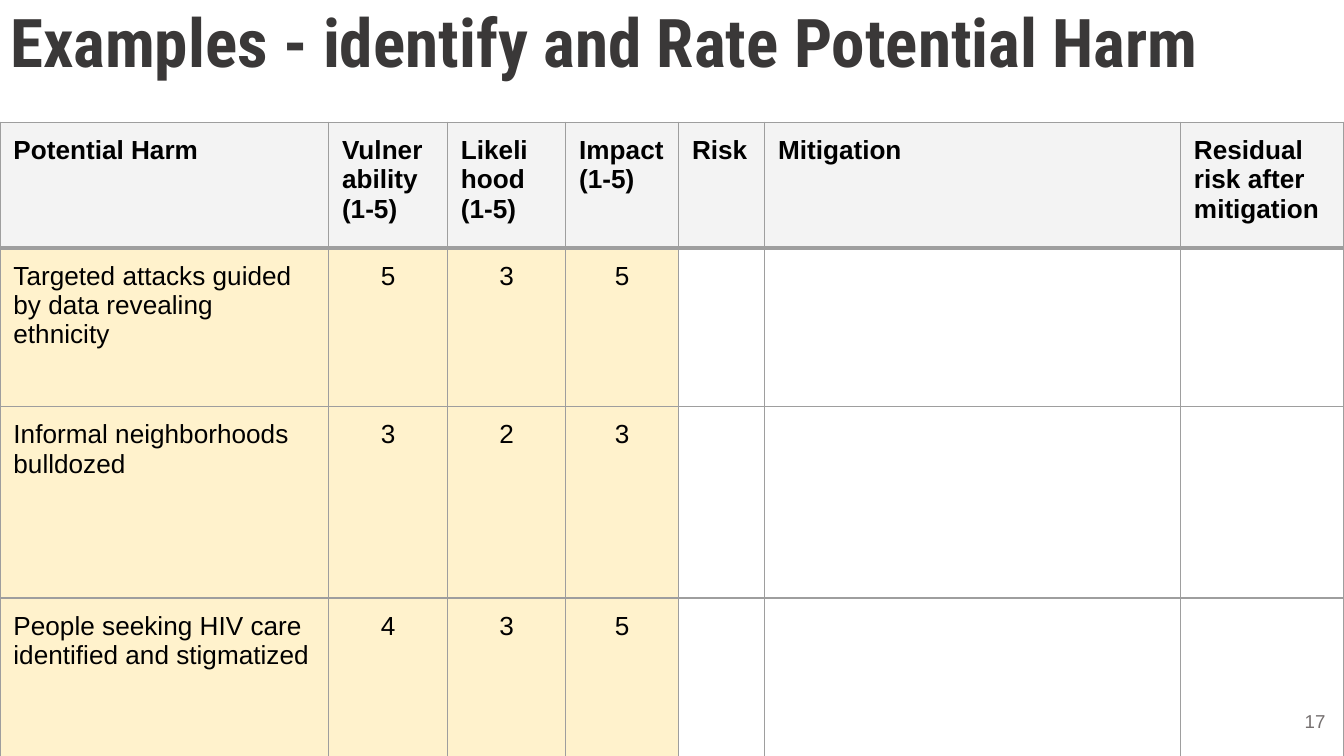
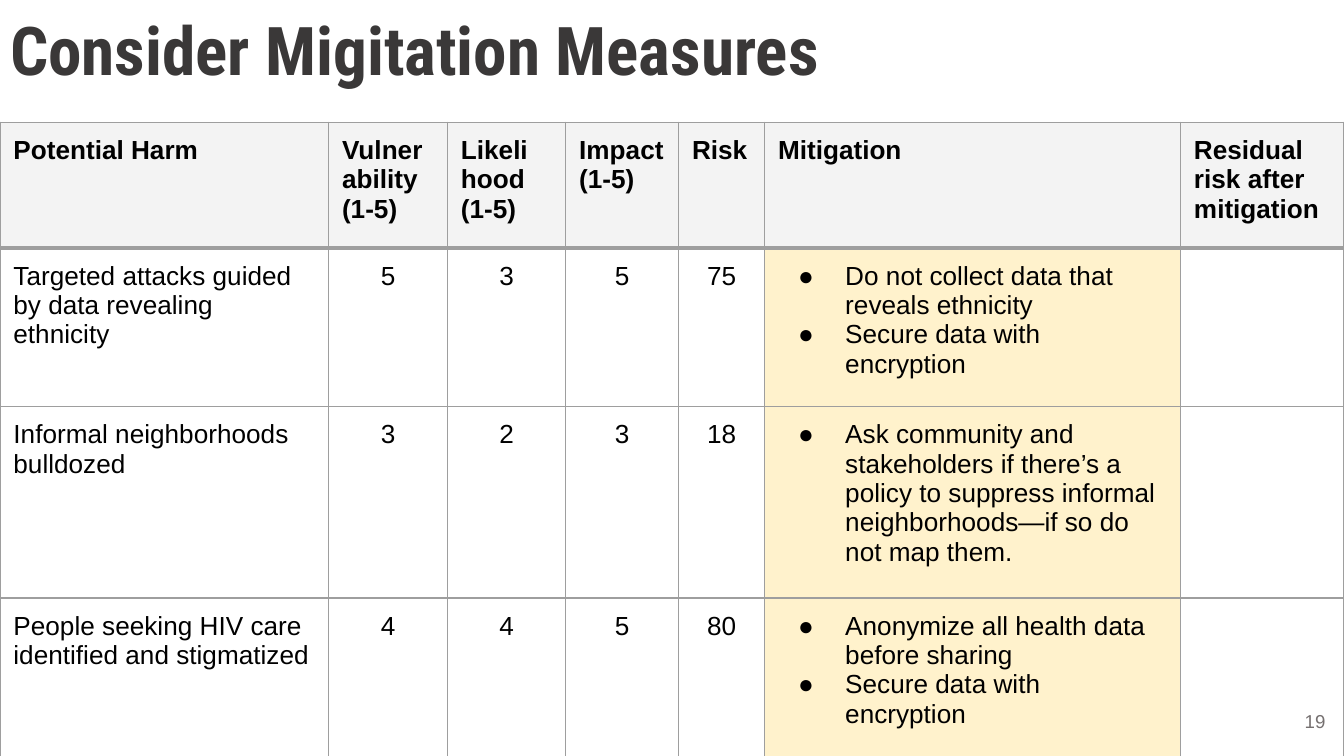
from pptx import Presentation
from pptx import util as u
from pptx.dml.color import RGBColor
from pptx.enum import text
from pptx.oxml import ns
from lxml import etree

PX = 4572
WHITE = RGBColor(0xFF, 0xFF, 0xFF)
BLACK = RGBColor(0, 0, 0)
TITLE = RGBColor(0x3A, 0x38, 0x38)
NUMBER = RGBColor(0x75, 0x70, 0x70)
HEADER = RGBColor(0xF3, 0xF3, 0xF3)
ACTIVE = RGBColor(0xFF, 0xF2, 0xCC)
GRID = RGBColor(0x9E, 0x9E, 0x9E)

COLS = [489, 177, 176, 168, 128, 619, 243]
ROWS = [187, 236, 285, 236]
HEAD = ["Potential Harm", "Vulnerability (1-5)", "Likeli hood (1-5)", "Impact (1-5)",
        "Risk", "Mitigation", "Residual risk after mitigation"]
HARMS = ["Targeted attacks guided by data revealing ethnicity",
         "Informal neighborhoods bulldozed",
         "People seeking HIV care identified and stigmatized"]
MITIGATIONS = [
    "Do not collect data that reveals ethnicity\nSecure data with encryption",
    "Ask community and stakeholders if there’s a policy to suppress informal "
    "neighborhoods—if so do not map them.",
    "Anonymize all health data before sharing\nSecure data with encryption"]
RATING_COLS = range(1, 5)
MITIGATION_COL = 5

SLIDES = [
    ("Examples - identify and Rate Potential Harm", 1944, 136, "17", range(4),
     [["5", "3", "5", ""], ["3", "2", "3", ""], ["4", "3", "5", ""]], [""] * 3),
    ("Consider Migitation Measures", 1524, 161, "19", [MITIGATION_COL],
     [["5", "3", "5", "75"], ["3", "2", "3", "18"], ["4", "4", "5", "80"]], MITIGATIONS),
]


def style(p, font, size, color, bold=False):
    for r in p.runs:
        r.font.name = font
        r.font.size = u.Pt(size)
        r.font.color.rgb = color
        r.font.bold = bold


def border(cell, side, width):
    ln = etree.SubElement(cell._tc.get_or_add_tcPr(), ns.qn("a:ln" + side),
                          w=str(u.Pt(width)))
    fill = etree.SubElement(ln, ns.qn("a:solidFill"))
    etree.SubElement(fill, ns.qn("a:srgbClr"), val=str(GRID))


prs = Presentation()
prs.slide_width, prs.slide_height = 2000 * PX, 1125 * PX

for title, width, height, number, active, ratings, mitigations in SLIDES:
    s = prs.slides.add_slide(prs.slide_layouts[5])
    s.background.fill.solid()
    s.background.fill.fore_color.rgb = WHITE

    sp = s.shapes.title
    sp.left, sp.top, sp.width, sp.height = 0, 0, width * PX, height * PX
    tf = sp.text_frame
    tf.text = title
    tf.word_wrap = True
    tf.auto_size = text.MSO_AUTO_SIZE.NONE
    tf.vertical_anchor = text.MSO_ANCHOR.MIDDLE
    tf.margin_left = tf.margin_right = 15 * PX
    tf.margin_top = tf.margin_bottom = 8 * PX
    p = tf.paragraphs[0]
    p.alignment = text.PP_ALIGN.LEFT
    p.line_spacing = 0.9
    p.space_before, p.space_after = u.Pt(8), u.Pt(12)
    style(p, "Roboto Condensed", 36, TITLE, True)

    sp = s.shapes.add_textbox(1872 * PX, 1039 * PX, 120 * PX, 86 * PX)
    tf = sp.text_frame
    tf.text = number
    tf.word_wrap = True
    tf.margin_left = tf.margin_right = tf.margin_top = tf.margin_bottom = 20 * PX
    tf.paragraphs[0].alignment = text.PP_ALIGN.RIGHT
    style(tf.paragraphs[0], "Arial", 10, NUMBER)

    tbl = s.shapes.add_table(len(ROWS), len(COLS), 0, 182 * PX,
                             sum(COLS) * PX, sum(ROWS) * PX).table
    tbl.first_row = tbl.horz_banding = False
    for col, w in zip(tbl.columns, COLS):
        col.width = w * PX
    for row, h in zip(tbl.rows, ROWS):
        row.height = h * PX

    body = [[harm, *rates, plan, ""]
            for harm, rates, plan in zip(HARMS, ratings, mitigations)]
    for i, values in enumerate([HEAD] + body):
        for j, value in enumerate(values):
            cell = tbl.cell(i, j)
            cell.margin_left = cell.margin_right = 20 * PX
            cell.margin_top = cell.margin_bottom = 20 * PX
            for side in "LRTB":
                heavy = (i, side) in [(0, "B"), (1, "T")]
                border(cell, side, 2.25 if heavy else 0.75)
            if i == 0 or j in active:
                cell.fill.solid()
                cell.fill.fore_color.rgb = ACTIVE if i else HEADER
            else:
                cell.fill.background()
            if not value:
                continue
            cell.text_frame.text = value
            for p in cell.text_frame.paragraphs:
                style(p, "Arial", 14, BLACK, i == 0)
                if i and j in RATING_COLS:
                    p.alignment = text.PP_ALIGN.CENTER
                if i and j == MITIGATION_COL:
                    pPr = p._p.get_or_add_pPr()
                    pPr.set("marL", str(100 * PX))
                    pPr.set("indent", str(-70 * PX))
                    clr = etree.SubElement(pPr, ns.qn("a:buClr"))
                    etree.SubElement(clr, ns.qn("a:srgbClr"), val=str(BLACK))
                    etree.SubElement(pPr, ns.qn("a:buSzPts"), val="1400")
                    etree.SubElement(pPr, ns.qn("a:buFont"), typeface="Arial")
                    etree.SubElement(pPr, ns.qn("a:buChar"), char="●")

prs.save("out.pptx")
